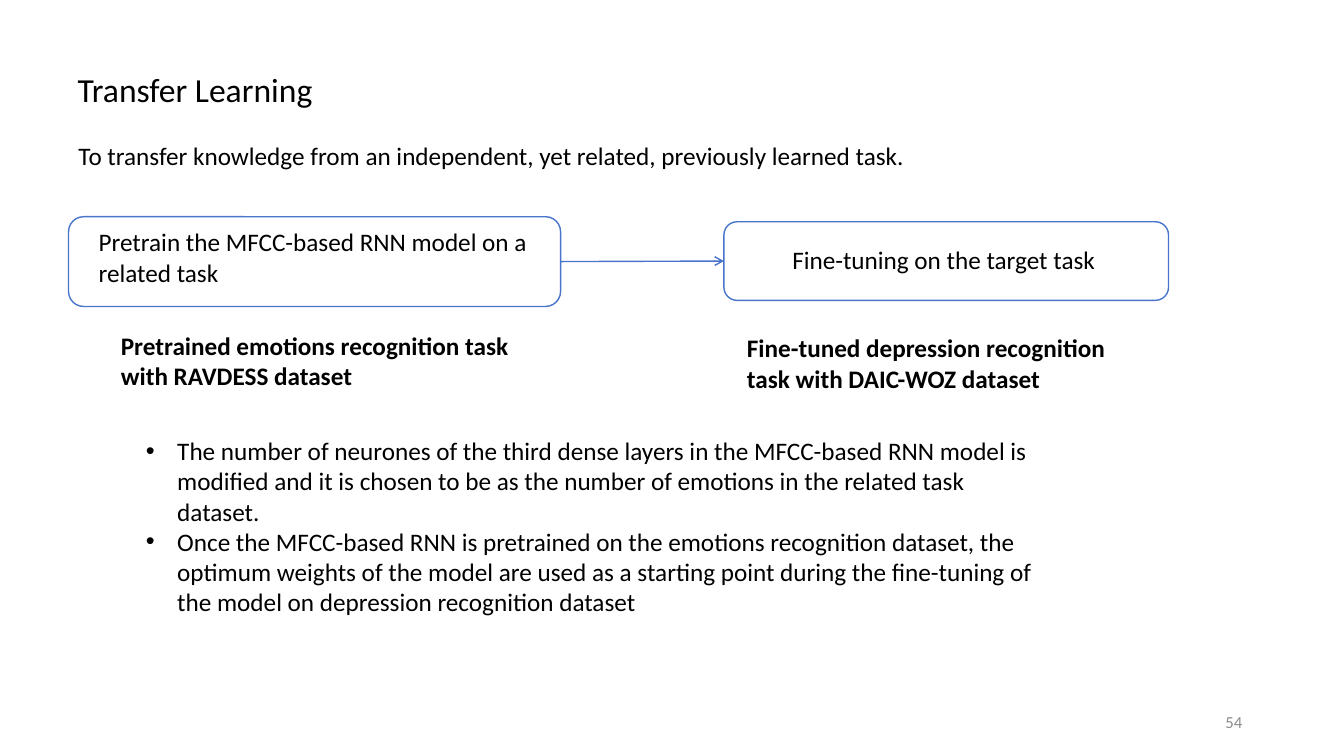
from pptx import Presentation
from pptx.dml.color import RGBColor
from pptx.enum.shapes import MSO_CONNECTOR, MSO_SHAPE
from pptx.enum.text import MSO_ANCHOR, MSO_AUTO_SIZE, PP_ALIGN
from pptx.oxml.ns import qn
from pptx.util import Pt
from lxml.etree import SubElement

PX = 9144
BLACK = RGBColor(0x00, 0x00, 0x00)
GRAY = RGBColor(0x8C, 0x8C, 0x8C)
BLUE = RGBColor(0x48, 0x74, 0xCB)
BODY = {"name": "Calibri", "size": Pt(18), "bold": False}


def place(shape, *box):
    for key, val in zip(("left", "top", "width", "height"), box):
        setattr(shape, key, val * PX)


def write(shape, lines, color=BLACK, align=PP_ALIGN.LEFT, bullet=False, **style):
    frame = shape.text_frame
    frame.word_wrap = True
    frame.auto_size = MSO_AUTO_SIZE.NONE
    frame.vertical_anchor = MSO_ANCHOR.TOP
    frame.text = "\n".join(lines)
    for para in frame.paragraphs:
        para.alignment = align
        if bullet:
            props = para._p.get_or_add_pPr()
            props.set("marL", str(31 * PX))
            props.set("indent", str(-31 * PX))
            SubElement(props, qn("a:buFont"), typeface="Arial")
            SubElement(props, qn("a:buChar"), char="•")
        for run in para.runs:
            for key, val in {**BODY, **style}.items():
                setattr(run.font, key, val)
            run.font.color.rgb = color


deck = Presentation()
deck.slide_width = 1333 * PX
deck.slide_height = 750 * PX
slide = deck.slides.add_slide(deck.slide_layouts[5])
shapes = slide.shapes

title = shapes.title
place(title, 67, 63, 574, 50)
write(title, ["Transfer Learning"], size=Pt(24))

bold = {"bold": True}
points = [
    "The number of neurones of the third dense layers in the MFCC-based RNN model is modified and it is chosen to be as the number of emotions in the related task dataset.",
    "Once the MFCC-based RNN is pretrained on the emotions recognition dataset, the optimum weights of the model are used as a starting point during the fine-tuning of the model on depression recognition dataset",
]
texts = [
    ((68, 134, 945, 40), ["To transfer knowledge from an independent, yet related, previously learned task."], {}),
    ((88, 220, 518, 71), ["Pretrain the MFCC-based RNN model on a related task"], {}),
    ((776, 237, 520, 40), ["Fine-tuning on the target task"], {}),
    ((110, 323, 415, 71), ["Pretrained emotions recognition task with RAVDESS dataset"], bold),
    ((731, 325, 415, 71), ["Fine-tuned depression recognition task with DAIC-WOZ dataset"], bold),
    ((135, 427, 900, 222), points, {"bullet": True}),
    ((942, 701, 300, 30), ["54"], {"size": Pt(12), "color": GRAY, "align": PP_ALIGN.RIGHT}),
]
for box, lines, style in texts:
    label = shapes.add_textbox(0, 0, 0, 0)
    place(label, *box)
    write(label, lines, **style)

steps = []
for box in ((68, 215, 488, 89), (718, 220, 441, 78)):
    step = shapes.add_shape(MSO_SHAPE.ROUNDED_RECTANGLE, 0, 0, 0, 0)
    place(step, *box)
    step.shadow.inherit = False
    step.fill.background()
    step.line.color.rgb = BLUE
    step.line.width = Pt(1)
    steps.append(step)

arrow = shapes.add_connector(MSO_CONNECTOR.STRAIGHT, 0, 0, 0, 0)
arrow.begin_connect(steps[0], 3)
arrow.end_connect(steps[1], 1)
arrow.line.color.rgb = BLUE
arrow.line.width = Pt(1)
SubElement(arrow.line._get_or_add_ln(), qn("a:tailEnd"), type="arrow")
SubElement(arrow._element.spPr, qn("a:effectLst"))

deck.save("out.pptx")
